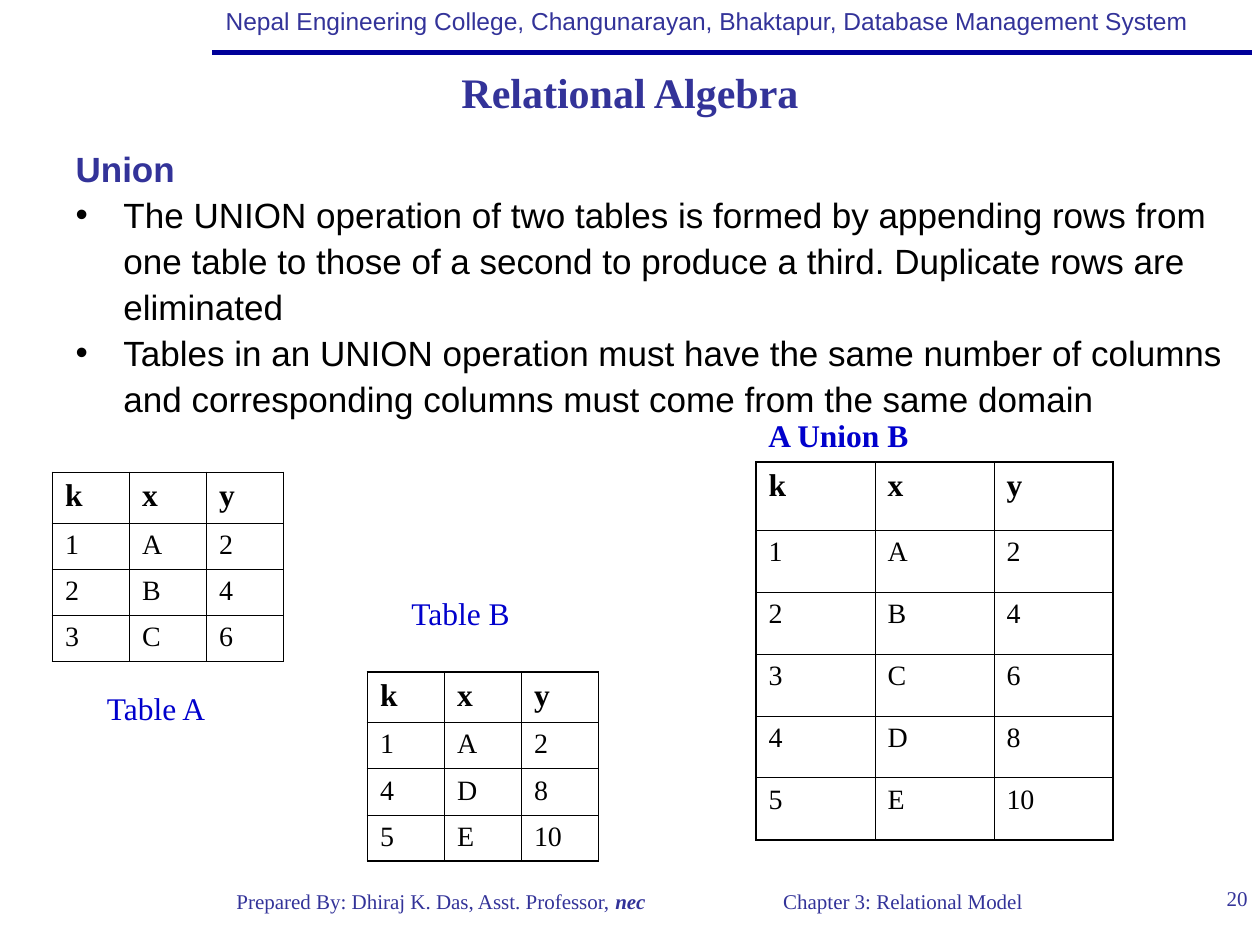
from lxml.etree import SubElement
from pptx import Presentation
from pptx.dml.color import RGBColor
from pptx.enum.shapes import MSO_CONNECTOR as Connector
from pptx.enum.text import MSO_ANCHOR as Anchor, MSO_AUTO_SIZE as AutoSize, PP_ALIGN as Align
from pptx.oxml.ns import qn
from pptx.util import Inches, Pt

SERIF, SANS = "Times New Roman", "Arial"
NAVY, BLUE, BLACK = "333399", "0000CC", "000000"


def grid(*steps):
    """Lengths on a grid of twelve steps to the inch."""
    return [Inches(step / 12) for step in steps]


def style(font, size, color, name=SERIF, bold=False):
    font.size, font.name, font.bold = Pt(size), name, bold
    font.color.rgb = RGBColor.from_string(color)


deck = Presentation()
deck.slide_width, deck.slide_height = grid(120, 90)
page = deck.slides.add_slide(deck.slide_layouts[1])

# Header rule
rule = page.shapes.add_connector(Connector.STRAIGHT, *grid(20.2, 5, 119.2, 5))
rule.line.width = Pt(3)
rule.line.color.rgb = RGBColor.from_string("000099")
SubElement(rule._element.spPr, qn("a:effectLst"))

# Title
title = page.shapes.title
title.left, title.top, title.width, title.height = grid(0, 5.2, 120, 7)
title.text_frame.text = "Relational Algebra"
title.text_frame.vertical_anchor = Anchor.MIDDLE
title.text_frame.auto_size = AutoSize.NONE
title.text_frame.paragraphs[0].alignment = Align.CENTER
style(title.text_frame.paragraphs[0].font, 24, NAVY, bold=True)

# Heading and bullet list
body = page.placeholders[1]
body.left, body.top, body.width, body.height = grid(6, 13, 114, 27.6)
body.text_frame.auto_size = AutoSize.NONE
body.text_frame.text = "\n".join([
    "Union",
    "The UNION operation of two tables is formed by appending rows from one table to those of a second to produce a third. Duplicate rows are eliminated",
    "Tables in an UNION operation must have the same number of columns and corresponding columns must come from the same domain",
])
for index, para in enumerate(body.text_frame.paragraphs):
    para.line_spacing, para.space_before = 1.1, Pt(0)
    properties = para._p.get_or_add_pPr()
    properties.set("marL", str(Inches(0.38)))
    properties.set("indent", str(-Inches(0.38)))
    if index == 0:
        SubElement(properties, qn("a:buNone"))
        style(para.font, 20, NAVY, SANS, bold=True)
    else:
        SubElement(properties, qn("a:buFont")).set("typeface", SANS)
        SubElement(properties, qn("a:buChar")).set("char", "•")
        style(para.font, 20, BLACK, SANS)

# Header, footer and table labels: place, text, size, colour, font, bold, alignment
labels = [
    ((20.3, 0, 94.2, 4), "Nepal Engineering College, Changunarayan, Bhaktapur, Database Management System",
     14, NAVY, SANS, False, Align.LEFT),
    ((17, 84, 50, 6), "Prepared By: Dhiraj K. Das, Asst. Professor, ", 12, NAVY, SERIF, False, Align.CENTER),
    ((61, 84, 50, 6), "Chapter 3: Relational Model", 12, NAVY, SERIF, False, Align.CENTER),
    ((113, 83.75, 7, 6), "20", 12, NAVY, SERIF, False, Align.RIGHT),
    ((9, 65, 12, 4.8), "Table A", 18, BLUE, SERIF, False, Align.LEFT),
    ((38, 56, 12, 4.8), "Table B", 18, BLUE, SERIF, False, Align.LEFT),
    ((72, 39, 16, 4.8), "A Union B", 18, BLUE, SERIF, True, Align.LEFT),
]
for place, text, size, color, name, bold, alignment in labels:
    box = page.shapes.add_textbox(*grid(*place))
    box.text_frame.word_wrap = text == "20"
    para = box.text_frame.paragraphs[0]
    para.text, para.alignment = text, alignment
    style(para.font, size, color, name, bold)
    if text.startswith("Prepared"):
        span = para.add_run()
        span.text = "nec"
        span.font.bold = span.font.italic = True

# Tables: place, header row height, other row height, data rows
tables = [
    ((5, 45, 22, 18), 4.8, 4.4, ["1 A 2", "2 B 4", "3 C 6"]),
    ((35, 64, 22, 18), 4.8, 4.4, ["1 A 2", "4 D 8", "5 E 10"]),
    ((72, 44, 34, 36), 6.5, 5.9, ["1 A 2", "2 B 4", "3 C 6", "4 D 8", "5 E 10"]),
]
for place, header_height, row_height, data in tables:
    rows = [line.split() for line in ["k x y", *data]]
    last_row, last_column = len(rows) - 1, len(rows[0]) - 1
    table = page.shapes.add_table(len(rows), len(rows[0]), *grid(*place)).table
    table.first_row = table.horz_banding = False
    for r, row in enumerate(rows):
        table.rows[r].height = grid(row_height if r else header_height)[0]
        for c, value in enumerate(row):
            cell = table.cell(r, c)
            cell.text = value
            style(cell.text_frame.paragraphs[0].font, 16 if r else 18, BLACK, bold=r == 0)
            # Outer edges are heavier than inner ones
            edges = {"a:lnL": c == 0, "a:lnR": c == last_column, "a:lnT": r == 0, "a:lnB": r == last_row}
            for tag, outer in edges.items():
                border = SubElement(cell._tc.get_or_add_tcPr(), qn(tag))
                border.set("w", str(Pt(1.08 if outer else 0.45)))
                fill = SubElement(border, qn("a:solidFill"))
                SubElement(fill, qn("a:srgbClr")).set("val", BLACK)
            cell.fill.background()

deck.save("out.pptx")
